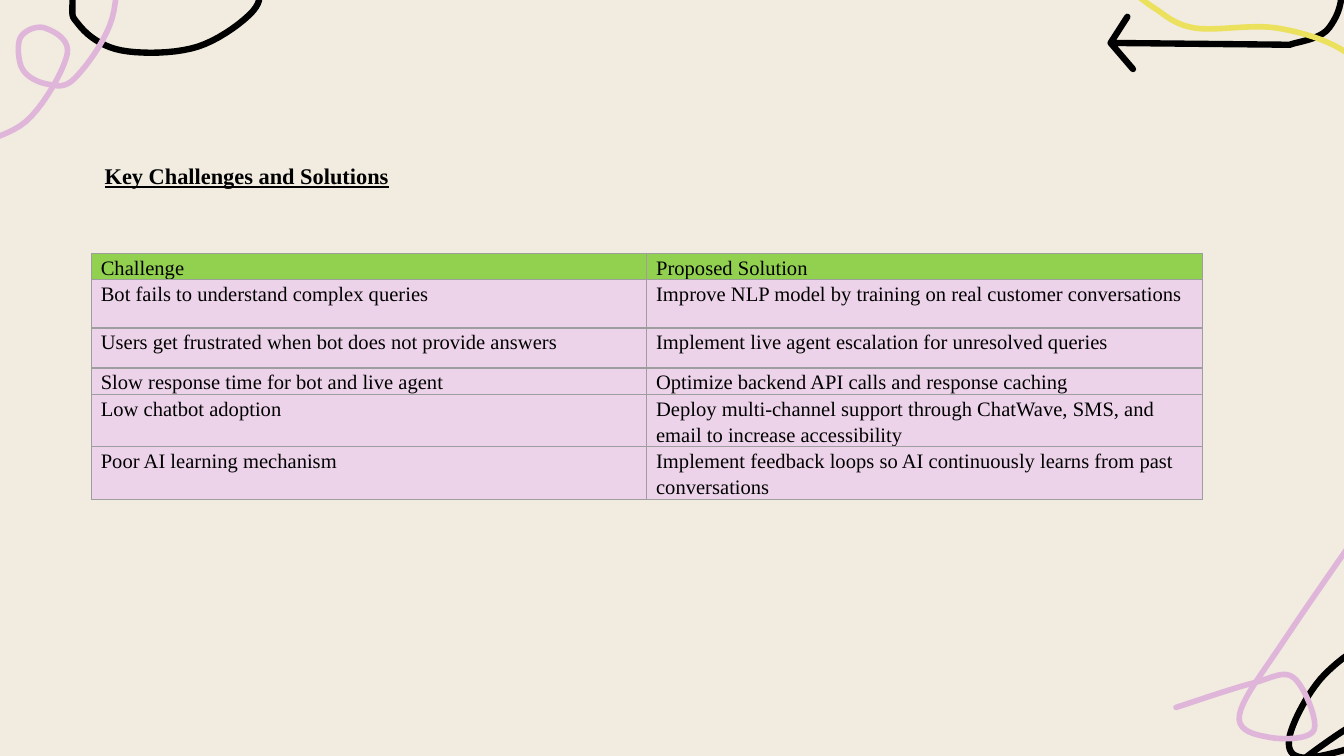
from dataclasses import dataclass
from itertools import product

from lxml.etree import SubElement
from pptx import Presentation
from pptx.dml.color import RGBColor
from pptx.enum.text import MSO_ANCHOR
from pptx.oxml.ns import qn
from pptx.slide import Slide
from pptx.table import _Cell
from pptx.util import Pt

FONT = "Times New Roman"
BLACK, LILAC, YELLOW = "000000", "DFB6DA", "ECE15C"
CURVE_STEPS = 10

Point = tuple[float, float]


@dataclass(frozen=True)
class Doodle:
    color: str
    width: float
    bends: list[Point]
    corners: tuple[Point, ...] = ()


@dataclass(frozen=True)
class Row:
    height: float
    challenge: str
    solution: str
    fill: str = "ECD3E9"
    anchor: MSO_ANCHOR = MSO_ANCHOR.TOP


ARROW_TIP = (595, 23)

DOODLES = [
    Doodle(BLACK, 3.4, [
        (661, -144), (679, -76), (684, -24), (675, -12), (669, -36), (679, -68),
        (697, -70), (718, -13), (712, 15), (691, 24),
    ], (ARROW_TIP, (604, 9), ARROW_TIP, (607, 37))),
    Doodle(BLACK, 3.4, [
        (816, 435), (776, 356), (744, 341), (710, 361), (691, 394), (700, 406),
        (743, 394), (750, 383), (738, 381), (698, 407), (645, 453),
    ]),
    Doodle(BLACK, 3.4, [
        (43, -96), (39, -7), (42, 13), (65, 27), (106, 25), (137, 4),
        (130, -11), (83, -18), (78, -9), (115, -7), (209, -25),
    ]),
    Doodle(LILAC, 3, [
        (630, 379), (671, 366), (693, 363), (704, 391), (680, 395), (664, 383),
        (690, 340), (751, 252),
    ]),
    Doodle(LILAC, 3, [
        (-22, 80), (14, 65), (36, 29), (24, 15), (11, 20), (12, 37), (25, 45),
        (40, 42), (60, 10), (63, -34),
    ]),
    Doodle(YELLOW, 3, [
        (771, 62), (736, 52), (721, 28), (684, 15), (640, 15), (618, 4), (599, -11),
    ]),
]

ROWS = [
    Row(14, "Challenge", "Proposed Solution", "92D050", MSO_ANCHOR.BOTTOM),
    Row(25.8, "Bot fails to understand complex queries",
        "Improve NLP model by training on real customer conversations"),
    Row(21.5, "Users get frustrated when bot does not provide answers",
        "Implement live agent escalation for unresolved queries"),
    Row(14, "Slow response time for bot and live agent",
        "Optimize backend API calls and response caching"),
    Row(28, "Low chatbot adoption",
        "Deploy multi-channel support through ChatWave, SMS, and "
        "email to increase accessibility"),
    Row(28, "Poor AI learning mechanism",
        "Implement feedback loops so AI continuously learns from past conversations"),
]


def rgb(color: str) -> RGBColor:
    return RGBColor.from_string(color)


def apply_format(target: object, values: dict) -> None:
    for attribute, value in values.items():
        setattr(target, attribute, value)


def spline(before: float, start: float, end: float, after: float, t: float) -> float:
    linear = end - before
    square = 2 * before - 5 * start + 4 * end - after
    cube = 3 * (start - end) + after - before
    return start + (linear * t + square * t ** 2 + cube * t ** 3) / 2


def smooth_path(bends: list[Point]) -> list[Point]:
    padded = [bends[0], *bends, bends[-1]]
    points = [bends[0]]
    for knots in zip(padded, padded[1:], padded[2:], padded[3:]):
        xs, ys = zip(*knots)
        for step in range(1, CURVE_STEPS + 1):
            t = step / CURVE_STEPS
            points.append((spline(*xs, t), spline(*ys, t)))
    return points


def draw_doodle(slide: Slide, doodle: Doodle) -> None:
    points = [*smooth_path(doodle.bends), *doodle.corners]
    (first_x, first_y), *rest = [(Pt(x), Pt(y)) for x, y in points]
    builder = slide.shapes.build_freeform(first_x, first_y)
    builder.add_line_segments(rest, close=False)
    stroke = builder.convert_to_shape()
    stroke.shadow.inherit = False
    stroke.fill.background()
    stroke.line.color.rgb = rgb(doodle.color)
    stroke.line.width = Pt(doodle.width)
    outline = stroke.element.spPr.find(qn("a:ln"))
    outline.set("cap", "rnd")
    SubElement(outline, qn("a:round"))


def add_borders(cell: _Cell) -> None:
    properties = cell._tc.get_or_add_tcPr()
    for side in ("lnL", "lnR", "lnT", "lnB"):
        border = SubElement(properties, qn(f"a:{side}"), w=str(Pt(0.75)))
        SubElement(SubElement(border, qn("a:solidFill")), qn("a:srgbClr"), val="9E9E9E")


def fill_cell(cell: _Cell, text: str, row: Row) -> None:
    apply_format(cell, {"margin_left": Pt(5), "margin_right": Pt(5), "margin_top": Pt(0),
                        "margin_bottom": Pt(0), "vertical_anchor": row.anchor, "text": text})
    add_borders(cell)
    cell.fill.solid()
    cell.fill.fore_color.rgb = rgb(row.fill)
    paragraph = cell.text_frame.paragraphs[0]
    paragraph.line_spacing = 1.15
    font = paragraph.runs[0].font
    apply_format(font, {"name": FONT, "size": Pt(11), "bold": False})
    font.color.rgb = rgb(BLACK)


def draw_solutions(slide: Slide, rows: list[Row]) -> None:
    height = sum(row.height for row in rows)
    solutions = slide.shapes.add_table(
        len(rows), 2, Pt(49), Pt(135.8), Pt(595), Pt(height)).table
    apply_format(solutions, {"first_row": False, "horz_banding": False})
    for index, row in enumerate(rows):
        solutions.rows[index].height = Pt(row.height)
    for index, column in product(range(len(rows)), range(2)):
        row = rows[index]
        fill_cell(solutions.cell(index, column), (row.challenge, row.solution)[column], row)


def draw_heading(slide: Slide, text: str) -> None:
    frame = slide.shapes.add_textbox(Pt(49), Pt(82), Pt(421), Pt(44)).text_frame
    apply_format(frame, {"word_wrap": True, "margin_top": Pt(4.8),
                         "vertical_anchor": MSO_ANCHOR.TOP, "text": text})
    font = frame.paragraphs[0].runs[0].font
    apply_format(font, {"name": FONT, "size": Pt(12), "bold": True, "underline": True})
    font.color.rgb = rgb(BLACK)


def main() -> None:
    deck = Presentation()
    apply_format(deck, {"slide_width": Pt(720), "slide_height": Pt(405)})
    slide = deck.slides.add_slide(deck.slide_layouts[6])
    slide.background.fill.solid()
    slide.background.fill.fore_color.rgb = rgb("F1EBE0")
    for doodle in DOODLES:
        draw_doodle(slide, doodle)
    draw_solutions(slide, ROWS)
    draw_heading(slide, "Key Challenges and Solutions")
    deck.save("out.pptx")


if __name__ == "__main__":
    main()
